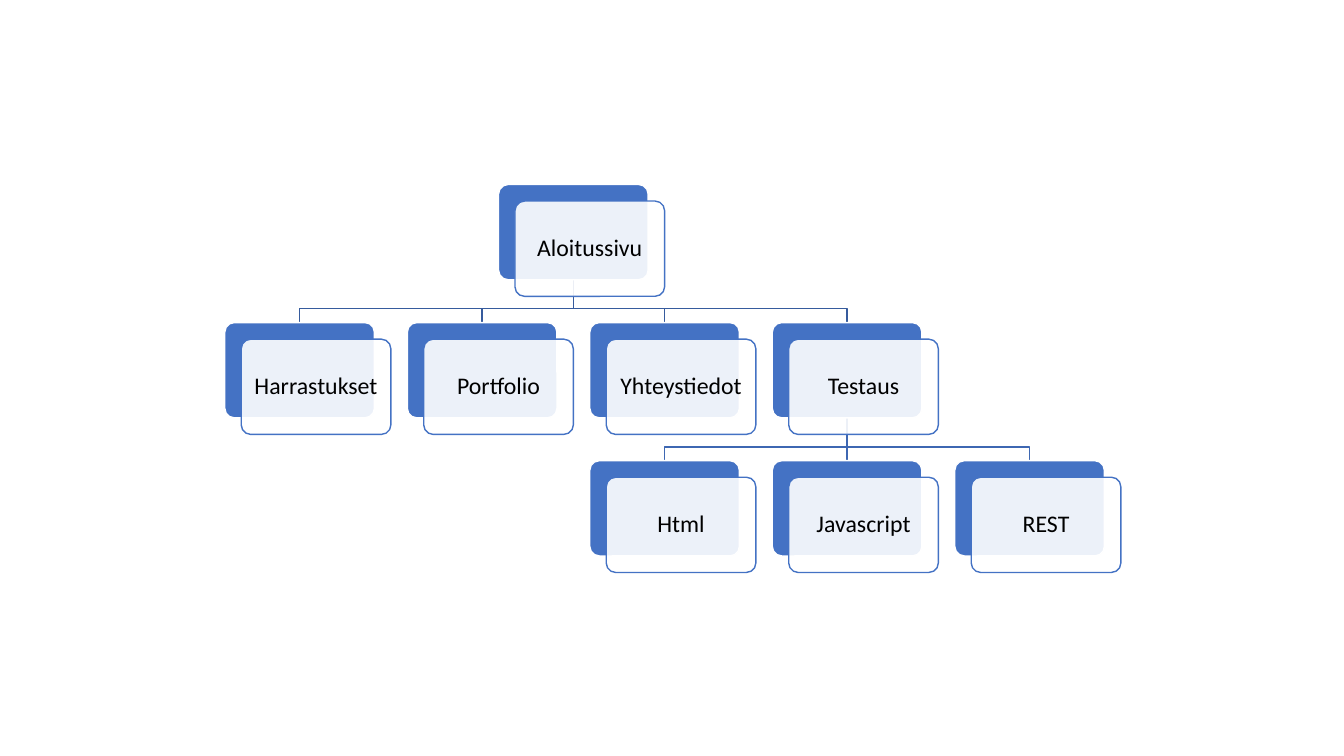
from dataclasses import dataclass
from typing import Optional

from lxml.etree import SubElement
from pptx import Presentation
from pptx.dml.color import RGBColor
from pptx.enum.shapes import MSO_CONNECTOR, MSO_SHAPE
from pptx.enum.text import MSO_ANCHOR, PP_ALIGN
from pptx.oxml.ns import qn
from pptx.shapes.autoshape import Shape
from pptx.slide import Slide
from pptx.util import Inches, Pt

BLUE = RGBColor(0x44, 0x72, 0xC4)
WHITE = RGBColor(0xFF, 0xFF, 0xFF)
BLACK = RGBColor(0x00, 0x00, 0x00)
UPPER_LINK = RGBColor(0x36, 0x5B, 0x9D)
LOWER_LINK = RGBColor(0x3E, 0x67, 0xB2)

LEFT, TOP = Inches(2.23), Inches(1.83)
COLUMN, ROW = Inches(1.81), Inches(1.37)
CARD_COLUMNS, CARD_ROWS = 0.82, 0.69
SHIFT_COLUMNS, SHIFT_ROWS = 0.09, 0.12
BEND_ROWS = 0.9


@dataclass(frozen=True)
class Page:
    title: str
    column: float
    row: int
    parent: Optional[str] = None


SITE = [
    Page("Aloitussivu", 1.5, 0),
    Page("Harrastukset", 0, 1, "Aloitussivu"),
    Page("Portfolio", 1, 1, "Aloitussivu"),
    Page("Yhteystiedot", 2, 1, "Aloitussivu"),
    Page("Testaus", 3, 1, "Aloitussivu"),
    Page("Html", 2, 2, "Testaus"),
    Page("Javascript", 3, 2, "Testaus"),
    Page("REST", 4, 2, "Testaus"),
]
LINK_COLORS = {"Aloitussivu": UPPER_LINK, "Testaus": LOWER_LINK}


def grid_x(column: float) -> int:
    return round(LEFT + column * COLUMN)


def grid_y(row: float) -> int:
    return round(TOP + row * ROW)


def add_card(slide: Slide, column: float, row: float,
             fill: RGBColor, border: RGBColor) -> Shape:
    card = slide.shapes.add_shape(
        MSO_SHAPE.ROUNDED_RECTANGLE, grid_x(column), grid_y(row),
        round(CARD_COLUMNS * COLUMN), round(CARD_ROWS * ROW))
    card.adjustments[0] = 0.1
    card.shadow.inherit = False
    card.fill.solid()
    card.fill.fore_color.rgb = fill
    card.line.color.rgb = border
    card.line.width = Pt(1)
    return card


def add_page(slide: Slide, page: Page) -> Shape:
    backing = add_card(slide, page.column, page.row, BLUE, WHITE)
    label = add_card(slide, page.column + SHIFT_COLUMNS,
                     page.row + SHIFT_ROWS, WHITE, BLUE)
    tint = label.fill._xPr.find(qn("a:solidFill"))[0]
    SubElement(tint, qn("a:alpha"), val="90000")

    frame = label.text_frame
    frame.word_wrap = True
    frame.vertical_anchor = MSO_ANCHOR.MIDDLE
    frame.margin_left = frame.margin_right = Inches(0.1)
    frame.margin_top = frame.margin_bottom = Inches(0.1)
    title = frame.paragraphs[0]
    title.text = page.title
    title.alignment = PP_ALIGN.CENTER
    title.line_spacing = 0.9
    title.font.name = "Calibri"
    title.font.size = Pt(17)
    title.font.color.rgb = BLACK
    return backing


def add_link(slide: Slide, parent: Page, child: Page,
             backings: dict[str, Shape]) -> None:
    start_x = grid_x(parent.column + CARD_COLUMNS / 2)
    start_y = grid_y(parent.row + CARD_ROWS)
    end_x = grid_x(child.column + CARD_COLUMNS / 2)
    end_y = grid_y(child.row)
    if parent.column == child.column:
        link = slide.shapes.add_connector(
            MSO_CONNECTOR.STRAIGHT, start_x, start_y, end_x, end_y)
        link.begin_connect(backings[parent.title], 2)
        link.end_connect(backings[child.title], 0)
    else:
        bend_y = grid_y(parent.row + BEND_ROWS)
        outline = slide.shapes.build_freeform(start_x, start_y)
        outline.add_line_segments(
            [(start_x, bend_y), (end_x, bend_y), (end_x, end_y)], close=False)
        link = outline.convert_to_shape()
        link.fill.background()
    link.line.color.rgb = LINK_COLORS[parent.title]
    link.line.width = Pt(1)
    properties = link._element.spPr
    if properties.find(qn("a:effectLst")) is None:
        SubElement(properties, qn("a:effectLst"))
    slide.shapes._spTree.insert(2, link._element)


def main() -> None:
    presentation = Presentation()
    presentation.slide_width = Inches(13.33)
    presentation.slide_height = Inches(7.5)
    slide = presentation.slides.add_slide(presentation.slide_layouts[6])

    pages = {page.title: page for page in SITE}
    backings = {page.title: add_page(slide, page) for page in SITE}
    for page in SITE:
        if page.parent:
            add_link(slide, pages[page.parent], page, backings)
    presentation.save("out.pptx")


if __name__ == "__main__":
    main()
